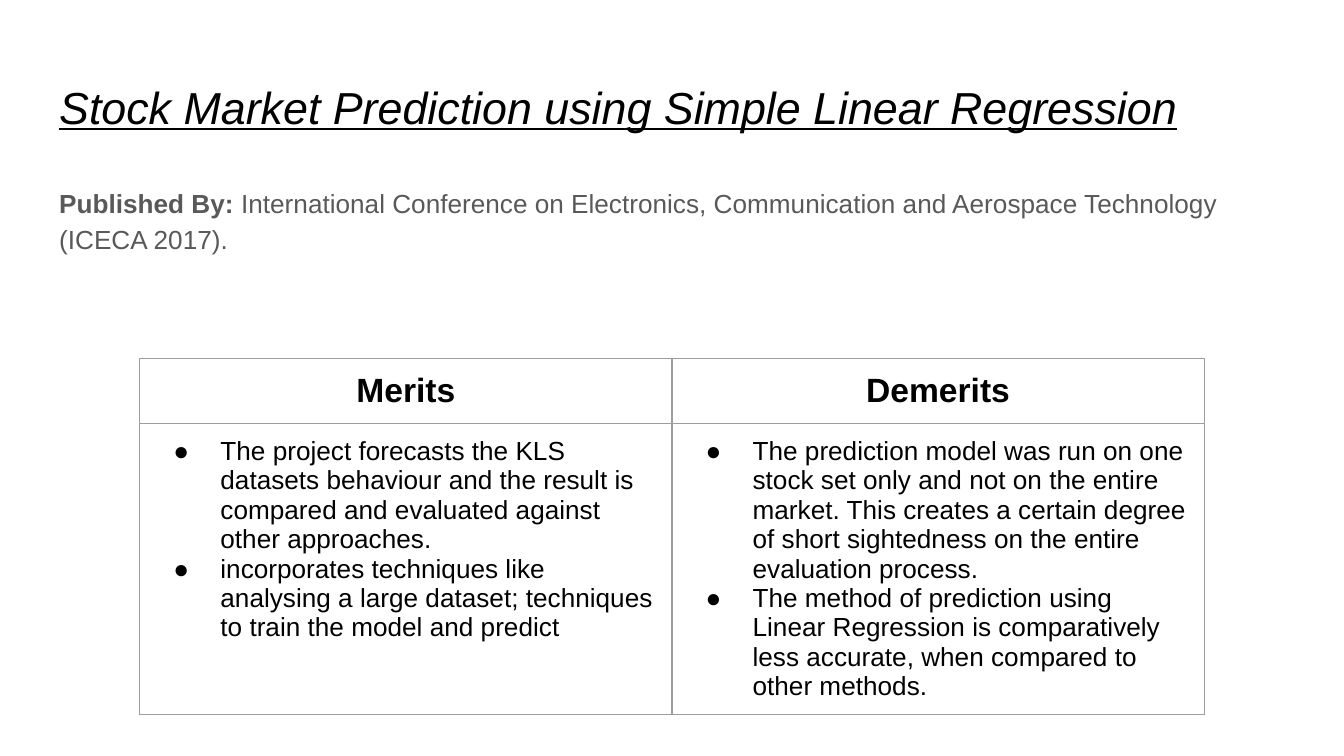
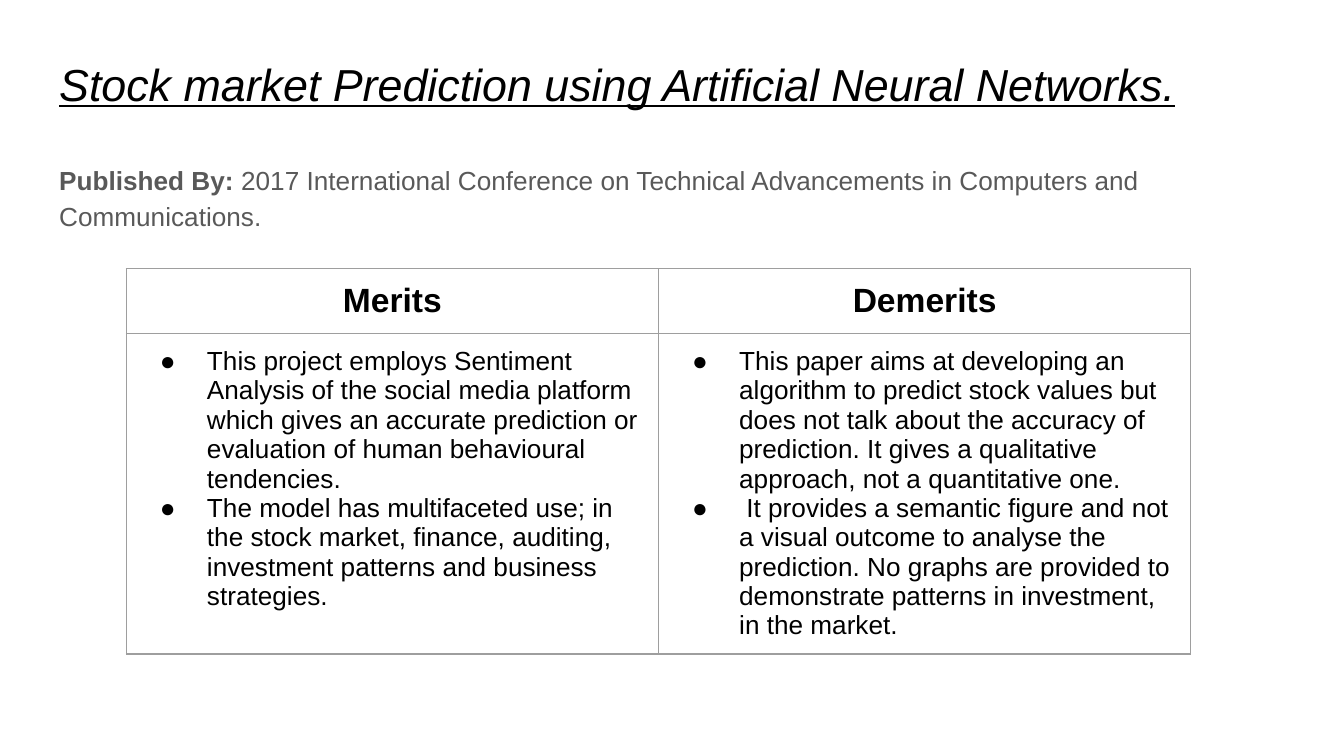
"""Build two slides that review stock prediction papers."""
from lxml.etree import SubElement
from pptx import Presentation
from pptx.dml.color import RGBColor
from pptx.enum.text import MSO_ANCHOR, MSO_AUTO_SIZE, PP_ALIGN
from pptx.oxml import parse_xml
from pptx.oxml.ns import nsdecls, qn
from pptx.util import Inches, Pt

HUES = {"ink": "000000", "gray": "595959", "edge": "9E9E9E"}
HEADS = ("Merits", "Demerits")
PAPERS = [
    {
        "title": "Stock Market Prediction using Simple Linear Regression",
        "venue": " International Conference on Electronics, Communication and "
                 "Aerospace Technology (ICECA 2017).",
        "top": 0.49,
        "grid": (1.04, 2.67),
        "points": (
            ["The project forecasts the KLS datasets behaviour and the result "
             "is compared and evaluated against other approaches.",
             "incorporates techniques like analysing a large dataset; "
             "techniques to train the model and predict"],
            ["The prediction model was run on one stock set only and not on "
             "the entire market. This creates a certain degree of short "
             "sightedness on the entire evaluation process.",
             "The method of prediction using Linear Regression is "
             "comparatively less accurate, when compared to other methods."],
        ),
    },
    {
        "title": "Stock market Prediction using Artificial Neural Networks.",
        "venue": " 2017 International Conference on Technical Advancements in "
                 "Computers and Communications.",
        "top": 0.32,
        "grid": (0.94, 2),
        "points": (
            ["This project employs Sentiment Analysis of the social media "
             "platform which gives an accurate prediction or evaluation of "
             "human behavioural tendencies.",
             "The model has multifaceted use; in the stock market, finance, "
             "auditing, investment patterns and business strategies."],
            ["This paper aims at developing an algorithm to predict stock "
             "values but does not talk about the accuracy of prediction. It "
             "gives a qualitative approach, not a quantitative one.",
             " It provides a semantic figure and not a visual outcome to "
             "analyse the prediction. No graphs are provided to demonstrate "
             "patterns in investment, in the market."],
        ),
    },
]


class Deck:
    font = "Arial"
    left, width, pad = 0.34, 9.32, 0.1

    def __init__(self):
        self.prs = Presentation()
        self.prs.slide_width = Inches(10)
        self.prs.slide_height = Inches(10) * 9 // 16
        self.slide = None

    def page(self):
        self.slide = self.prs.slides.add_slide(self.prs.slide_layouts[1])

    def run(self, para, text, size, hue="ink", bold=False, slant=False):
        run = para.add_run()
        run.text = text
        font = run.font
        font.name, font.size, font.bold = self.font, Pt(size), bold
        font.italic = font.underline = slant
        font.color.rgb = RGBColor.from_string(HUES[hue])

    def inset(self, item):
        item.margin_left = item.margin_right = Inches(self.pad)
        item.margin_top = item.margin_bottom = Inches(self.pad)

    def place(self, shape, top, height):
        shape.left, shape.top = Inches(self.left), Inches(top)
        shape.width, shape.height = Inches(self.width), Inches(height)
        frame = shape.text_frame
        frame.word_wrap = True
        frame.auto_size = MSO_AUTO_SIZE.NONE
        frame.vertical_anchor = MSO_ANCHOR.TOP
        self.inset(frame)
        para = frame.paragraphs[0]
        para.alignment = PP_ALIGN.LEFT
        para.space_before = Pt(0)
        return para

    def title(self, text, top):
        para = self.place(self.slide.shapes.title, top, 0.63)
        self.run(para, text, 24, slant=True)

    def body(self, venue, top):
        para = self.place(self.slide.placeholders[1], top, 3.74)
        para.line_spacing = 1.15
        self.indent(para, 0, 0)
        SubElement(para._p.get_or_add_pPr(), qn("a:buNone"))
        self.run(para, "Published By:", 14, "gray", bold=True)
        self.run(para, venue, 14, "gray")

    def indent(self, para, margin, first):
        props = para._p.get_or_add_pPr()
        props.set("marL", str(Inches(margin)))
        props.set("indent", str(Inches(first)))

    def bullet(self, para):
        self.indent(para, 0.5, -0.35)
        props = para._p.get_or_add_pPr()
        color = SubElement(props, qn("a:buClr"))
        SubElement(color, qn("a:srgbClr"), val=HUES["ink"])
        SubElement(props, qn("a:buFont"), typeface=self.font)
        SubElement(props, qn("a:buChar"), char="●")

    def border(self, cell):
        props = cell._tc.get_or_add_tcPr()
        for spot, side in enumerate("LRTB"):
            props.insert(spot, parse_xml(
                f'<a:ln{side} {nsdecls("a")} w="{Pt(0.75)}"><a:solidFill>'
                f'<a:srgbClr val="{HUES["edge"]}"/></a:solidFill></a:ln{side}>'))

    def table(self, spot, points):
        left, top = spot
        grid = self.slide.shapes.add_table(
            2, 2, Inches(left), Inches(top), Inches(7.92), Inches(0.84)).table
        for cell in grid.iter_cells():
            cell.fill.background()
            self.inset(cell)
            self.border(cell)
        for col, (head, items) in enumerate(zip(HEADS, points)):
            para = grid.cell(0, col).text_frame.paragraphs[0]
            para.alignment = PP_ALIGN.CENTER
            self.run(para, head, 18, bold=True)
            frame = grid.cell(1, col).text_frame
            for row, item in enumerate(items):
                para = frame.add_paragraph() if row else frame.paragraphs[0]
                self.bullet(para)
                self.run(para, item, 14)


def main():
    deck = Deck()
    for paper in PAPERS:
        deck.page()
        deck.title(paper["title"], paper["top"])
        deck.body(paper["venue"], paper["top"] + 0.77)
        deck.table(paper["grid"], paper["points"])
    deck.prs.save("out.pptx")


if __name__ == "__main__":
    main()
